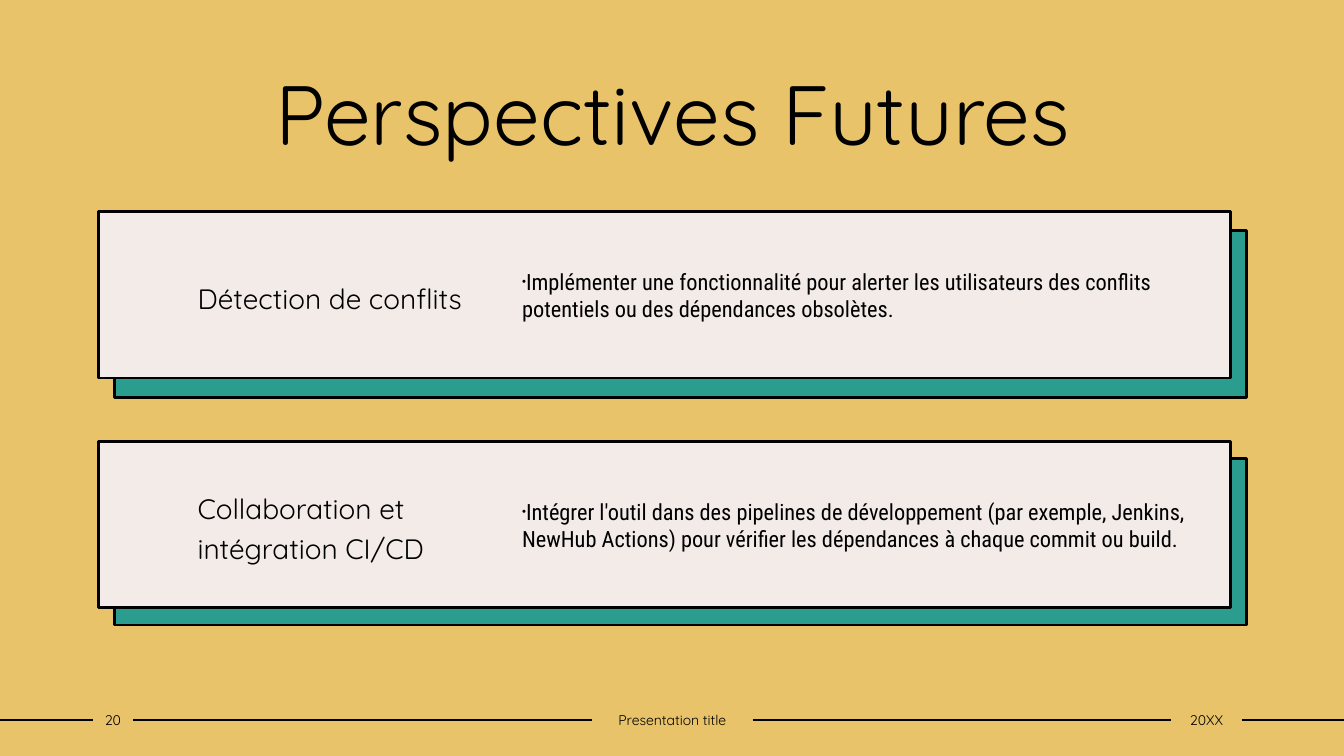
from dataclasses import dataclass
from itertools import pairwise

from lxml import etree
from pptx import Presentation
from pptx.dml.color import RGBColor
from pptx.enum.shapes import MSO_CONNECTOR, MSO_SHAPE
from pptx.enum.text import MSO_ANCHOR, MSO_AUTO_SIZE, PP_ALIGN
from pptx.oxml.ns import qn
from pptx.util import Pt

STRAIGHT = MSO_CONNECTOR.STRAIGHT
RECTANGLE = MSO_SHAPE.RECTANGLE
MIDDLE = MSO_ANCHOR.MIDDLE
NO_AUTOFIT = MSO_AUTO_SIZE.NONE
LEFT, CENTER = PP_ALIGN.LEFT, PP_ALIGN.CENTER

COLORS = {
    "background": "E9C369",
    "panel": "F3EBE8",
    "backing": "2A9D8F",
    "ink": "000000",
}
HEADING_FONT = "Quicksand"
BODY_FONT = "Roboto Condensed"

SLIDE_WIDTH, SLIDE_HEIGHT = 960, 540
PANEL_LEFT, PANEL_WIDTH, PANEL_HEIGHT = 70.56, 808.56, 118.8
BACKING_LEFT = 82.08
DETAIL_LEFT, DETAIL_WIDTH, DETAIL_HEIGHT = 365.76, 504.72, 104.4
FOOTER_TOP, FOOTER_HEIGHT = 504.5, 19.44
LEFT_SIDE, RIGHT_SIDE = 1, 3


@dataclass(frozen=True)
class Card:
    heading: str
    detail: str
    top: float
    backing_top: float
    heading_index: int
    detail_index: int


@dataclass(frozen=True)
class FooterLabel:
    text: str
    left: float
    width: float


CARDS = [
    Card(
        "Détection de conflits",
        "Implémenter une fonctionnalité pour alerter les utilisateurs des conflits "
        "potentiels ou des dépendances obsolètes.",
        151.2, 164.9, 1, 2,
    ),
    Card(
        "Collaboration et intégration CI/CD",
        "Intégrer l'outil dans des pipelines de développement (par exemple, Jenkins, "
        "NewHub Actions) pour vérifier les dépendances à chaque commit ou build.",
        315.4, 327.6, 3, 4,
    ),
]
FOOTER_LABELS = [
    FooterLabel("20", 66.24, 28.8),
    FooterLabel("Presentation title", 422.64, 115.2),
    FooterLabel("20XX", 836.64, 50.4),
]


def color(name: str) -> RGBColor:
    return RGBColor.from_string(COLORS[name])


def place(shape, left: float, top: float, width: float, height: float) -> None:
    shape.left, shape.top = Pt(left), Pt(top)
    shape.width, shape.height = Pt(width), Pt(height)


def paint(shape, fill: str) -> None:
    shape.fill.solid()
    shape.fill.fore_color.rgb = color(fill)
    shape.line.color.rgb = color("ink")
    shape.line.width = Pt(2)


def write(box, text: str, size: float, font: str, align, spacing: float = 1.0):
    frame = box.text_frame
    frame.word_wrap = True
    frame.auto_size = NO_AUTOFIT
    frame.vertical_anchor = MIDDLE
    para = frame.paragraphs[0]
    para.alignment = align
    para.line_spacing = spacing
    para.space_before = Pt(0)
    span = para.add_run()
    span.text = text
    span.font.size = Pt(size)
    span.font.name = font
    span.font.bold = False
    span.font.color.rgb = color("ink")
    return para


def set_insets(box, left: float, right: float) -> None:
    frame = box.text_frame
    frame.margin_left, frame.margin_right = Pt(left), Pt(right)
    frame.margin_top = frame.margin_bottom = Pt(3.6)


def add_bullet(para) -> None:
    properties = para._p.get_or_add_pPr()
    properties.set("marL", "0")
    properties.set("indent", str(-Pt(10.8)))
    etree.SubElement(properties, qn("a:buSzPct")).set("val", "50000")
    etree.SubElement(properties, qn("a:buChar")).set("char", "•")


def bring_forward(shape) -> None:
    shape.element.getparent().append(shape.element)


def draw_card(page, card: Card) -> None:
    backing = page.shapes.add_shape(
        RECTANGLE, Pt(BACKING_LEFT), Pt(card.backing_top), Pt(PANEL_WIDTH), Pt(PANEL_HEIGHT)
    )
    backing.shadow.inherit = False
    paint(backing, "backing")

    panel = page.placeholders[card.heading_index]
    bring_forward(panel)
    place(panel, PANEL_LEFT, card.top, PANEL_WIDTH, PANEL_HEIGHT)
    paint(panel, "panel")
    set_insets(panel, 70.56, 511.2)
    write(panel, card.heading, 20, HEADING_FONT, LEFT, 1.2)

    detail = page.placeholders[card.detail_index]
    bring_forward(detail)
    detail_top = card.top + (PANEL_HEIGHT - DETAIL_HEIGHT) / 2
    place(detail, DETAIL_LEFT, detail_top, DETAIL_WIDTH, DETAIL_HEIGHT)
    add_bullet(write(detail, card.detail, 16, BODY_FONT, LEFT))


def draw_label(page, label: FooterLabel):
    box = page.shapes.add_textbox(
        Pt(label.left), Pt(FOOTER_TOP), Pt(label.width), Pt(FOOTER_HEIGHT)
    )
    set_insets(box, 0, 0)
    write(box, label.text, 10, HEADING_FONT, CENTER)
    return box


def draw_rule(page, before, after) -> None:
    middle = Pt(FOOTER_TOP + FOOTER_HEIGHT / 2)
    rule = page.shapes.add_connector(STRAIGHT, Pt(0), middle, Pt(SLIDE_WIDTH), middle)
    if before is not None:
        rule.begin_connect(before, RIGHT_SIDE)
    if after is not None:
        rule.end_connect(after, LEFT_SIDE)
    rule.line.color.rgb = color("ink")
    rule.line.width = Pt(1)
    etree.SubElement(rule.element.spPr, qn("a:effectLst"))


def main() -> None:
    deck = Presentation()
    deck.slide_width, deck.slide_height = Pt(SLIDE_WIDTH), Pt(SLIDE_HEIGHT)
    page = deck.slides.add_slide(deck.slide_layouts.get_by_name("Comparison"))
    page.background.fill.solid()
    page.background.fill.fore_color.rgb = color("background")

    title = page.shapes.title
    place(title, 90, 40.32, 780.48, 79.92)
    write(title, "Perspectives Futures", 60, HEADING_FONT, CENTER)

    for card in CARDS:
        draw_card(page, card)

    boxes = [draw_label(page, label) for label in FOOTER_LABELS]
    for before, after in pairwise([None, *boxes, None]):
        draw_rule(page, before, after)

    deck.save("out.pptx")


if __name__ == "__main__":
    main()
